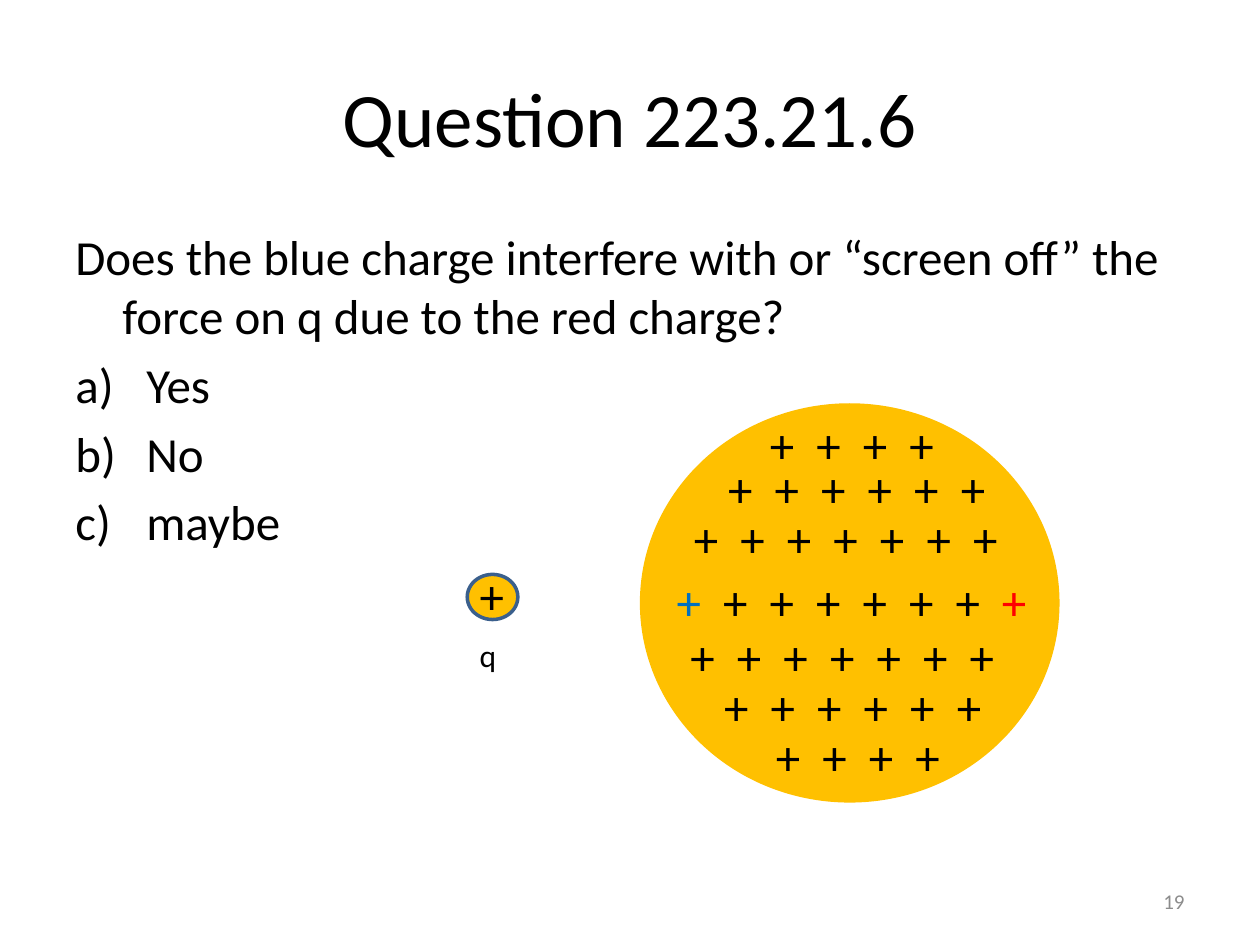
from dataclasses import dataclass

import pptx
import pptx.dml.color
import pptx.enum.shapes
import pptx.enum.text
import pptx.oxml.ns
import pptx.util
from lxml import etree
from pptx.util import Cm, Pt

ALIGN = pptx.enum.text.PP_ALIGN
ANCHOR = pptx.enum.text.MSO_ANCHOR
FONT = "Calibri"
BLACK, GREY, GOLD = "000000", "8C8C8C", "FFC000"
NAVY, BLUE, RED = "3A5F8C", "0070C0", "FF0000"
PLUS_PITCH = 1.13
ROW_HEIGHT = 1.45


@dataclass
class Box:
    left: float
    top: float
    width: float
    height: float

    def lengths(self):
        return [Cm(v) for v in (self.left, self.top, self.width, self.height)]


@dataclass
class ChargeRow:
    left: float
    top: float
    count: int
    first: str = BLACK
    last: str = BLACK


ROWS = [
    ChargeRow(15.27, 8.23, 4),
    ChargeRow(14.43, 9.12, 6),
    ChargeRow(13.74, 10.13, 7),
    ChargeRow(13.39, 11.4, 8, BLUE, RED),
    ChargeRow(13.67, 12.5, 7),
    ChargeRow(14.35, 13.51, 6),
    ChargeRow(15.39, 14.53, 4),
]


def rgb(code: str):
    return pptx.dml.color.RGBColor.from_string(code)


def set_font(p, size: float, color: str) -> None:
    p.font.name = FONT
    p.font.size = Pt(size)
    p.font.color.rgb = rgb(color)


def add_text(s, box: Box, text: str, size: float, color: str = BLACK,
             align=ALIGN.LEFT, anchor=ANCHOR.TOP, wrap: bool = False):
    tf = s.shapes.add_textbox(*box.lengths()).text_frame
    tf.word_wrap = wrap
    tf.vertical_anchor = anchor
    p = tf.paragraphs[0]
    p.text = text
    p.alignment = align
    set_font(p, size, color)
    return tf


def add_disc(s, box: Box, line: str | None = None) -> None:
    sp = s.shapes.add_shape(pptx.enum.shapes.MSO_SHAPE.OVAL, *box.lengths())
    sp.shadow.inherit = False
    sp.fill.solid()
    sp.fill.fore_color.rgb = rgb(GOLD)
    if line:
        sp.line.color.rgb = rgb(line)
        sp.line.width = Pt(2)
    else:
        sp.line.fill.background()


def add_charges(s, row: ChargeRow) -> None:
    """Write a row of plus signs; its end signs may have their own colours."""
    box = Box(row.left, row.top, row.count * PLUS_PITCH, ROW_HEIGHT)
    signs = "  ".join("+" * row.count)
    if row.first == row.last:
        add_text(s, box, signs, 28, row.first)
        return
    p = add_text(s, box, "", 28).paragraphs[0]
    for text, color in ((signs[0], row.first), (signs[1:-1], BLACK),
                        (signs[-1], row.last)):
        r = p.add_run()
        r.text = text
        r.font.name = FONT
        r.font.size = Pt(28)
        r.font.color.rgb = rgb(color)


def hang(p, indent: float) -> None:
    """Indent all lines of a paragraph but the first."""
    pPr = p._p.get_or_add_pPr()
    pPr.set("marL", str(Cm(indent)))
    pPr.set("indent", str(-Cm(indent)))


def add_question(s, box: Box, question: str, answers: list[str]) -> None:
    tf = add_text(s, box, question, 28, wrap=True)
    hang(tf.paragraphs[0], 0.95)
    for answer in answers:
        p = tf.add_paragraph()
        p.text = answer
        p.space_before = Pt(5.6)
        hang(p, 1.43)
        etree.SubElement(p._p.pPr, pptx.oxml.ns.qn("a:buAutoNum"),
                         type="alphaLcParenR")
        set_font(p, 28, BLACK)


def main() -> None:
    prs = pptx.Presentation()
    prs.slide_width, prs.slide_height = Cm(25.4), Cm(19.05)
    s = prs.slides.add_slide(prs.slide_layouts[6])

    add_text(s, Box(1.27, 0.76, 22.86, 3.18), "Question 223.21.6", 44,
             align=ALIGN.CENTER, anchor=ANCHOR.MIDDLE, wrap=True)
    add_question(s, Box(1.27, 4.45, 22.86, 4.78),
                 "Does the blue charge interfere with or “screen off” the "
                 "force on q due to the red charge?",
                 ["Yes", "No", "maybe"])
    add_text(s, Box(18.21, 17.65, 5.92, 1.02), "19", 12, GREY,
             align=ALIGN.RIGHT, anchor=ANCHOR.MIDDLE, wrap=True)

    add_disc(s, Box(9.42, 11.58, 1.02, 0.91), NAVY)
    add_text(s, Box(9.42, 11.28, 1.02, ROW_HEIGHT), "+", 28)
    add_text(s, Box(9.42, 12.7, 0.86, 1.02), "q", 18)

    add_disc(s, Box(12.9, 8.13, 8.46, 8.05))
    for row in ROWS:
        add_charges(s, row)

    prs.save("out.pptx")


if __name__ == "__main__":
    main()
